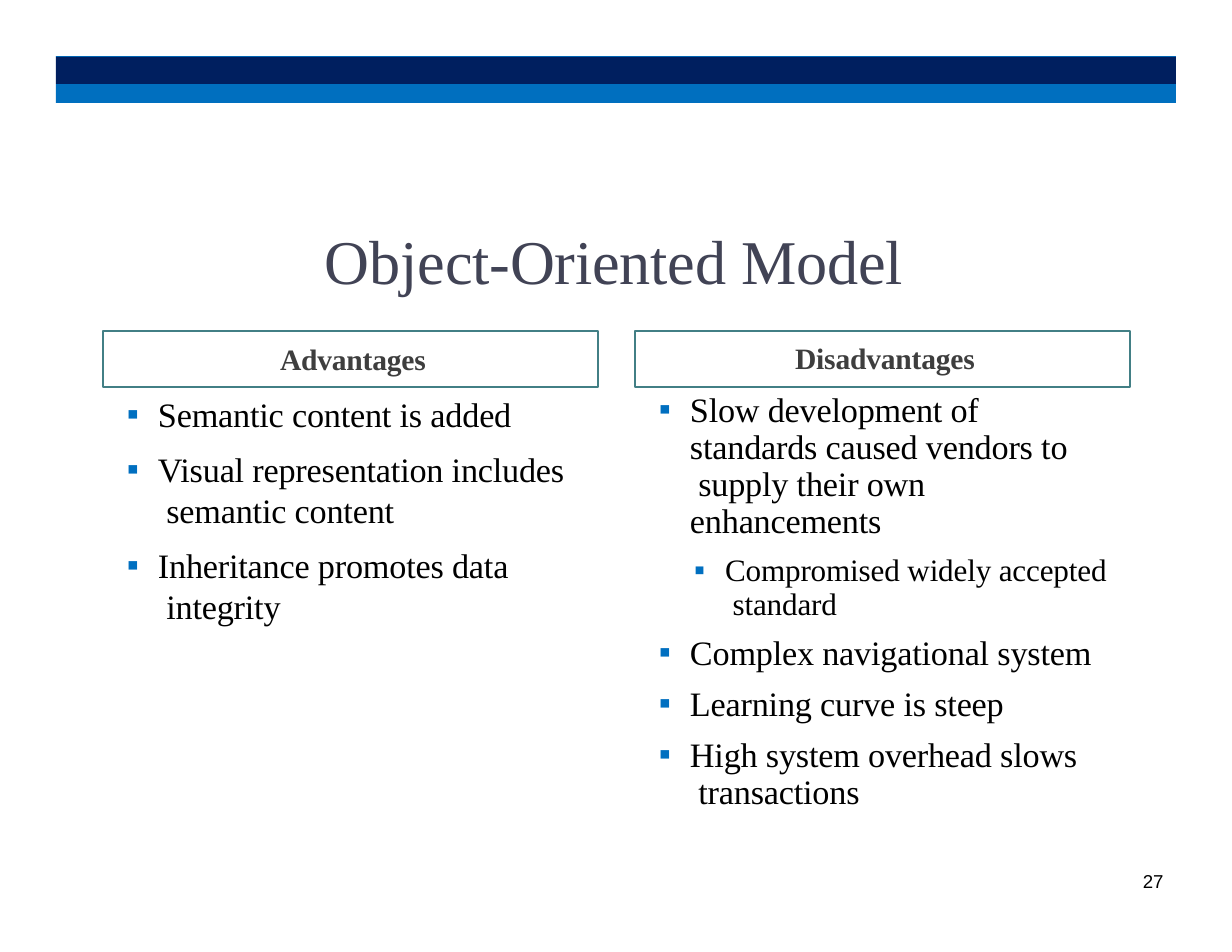
from copy import deepcopy
from dataclasses import dataclass

from lxml.etree import SubElement as Sub
from pptx import Presentation as Deck
from pptx.dml.color import RGBColor as Rgb
from pptx.enum.shapes import MSO_SHAPE as Kind
from pptx.enum.text import MSO_ANCHOR as Anchor, MSO_AUTO_SIZE as Fit, PP_ALIGN as Align
from pptx.oxml.ns import qn
from pptx.util import Emu, Pt


@dataclass(frozen=True)
class Theme:
    navy: str = "001F5F"
    blue: str = "006FBF"
    dot: str = "006FC0"
    teal: str = "427F85"
    slate: str = "414355"
    gray: str = "3E3E3E"
    ink: str = "000000"
    serif: str = "Times New Roman"
    sans: str = "Arial"
    title: int = 40
    head: int = 19
    item: int = 22
    sub: int = 20
    small: int = 12


LOOK = Theme()
SCALE = 914400 / 112
STEP = 532
BARS = [(56, 1, LOOK.blue), (57, 27, LOOK.navy), (84, 19, LOOK.blue)]
PROS = [
    ("Semantic content is added", 10.6, None, 0),
    ("Visual representation includes\v semantic content", 9, None, 0),
    ("Inheritance promotes data\v integrity", 9, None, 0),
]
CONS = [
    ("Slow development of\vstandards caused vendors to\v supply their own\venhancements",
     10.9, 23.8, 0),
    ("Compromised widely accepted\v standard", 8.9, 21.6, 1),
    ("Complex navigational system", 6, None, 0),
    ("Learning curve is steep", 6.3, None, 0),
    ("High system overhead slows\v transactions", 9.3, 23.8, 0),
]


def px(num):
    return Emu(round(num * SCALE))


def apply(obj, vals):
    for key, val in vals.items():
        setattr(obj, key, val)


def place(shape, left, top, width, height):
    apply(shape, {"left": px(left), "top": px(top),
                  "width": px(width), "height": px(height)})


def setup(shape, inset):
    frame = shape.text_frame
    apply(frame, {"margin_left": 0, "margin_right": 0, "margin_bottom": 0,
                  "margin_top": px(inset), "word_wrap": True,
                  "auto_size": Fit.NONE, "vertical_anchor": Anchor.TOP})
    return frame


def write(para, text, face, size, color, bold=False, **form):
    para.text = text
    apply(para, {"space_before": Pt(0), **form})
    for run in para.runs:
        apply(run.font, {"name": face, "size": Pt(size), "bold": bold})
        run.font.color.rgb = Rgb.from_string(color)
        run.font._element.set("spc", "-10")
    for brk in para._p.findall(qn("a:br")):
        brk.append(deepcopy(para.runs[0].font._element))


def mark(para, left, hang):
    props = para._p.get_or_add_pPr()
    props.set("marL", str(px(left)))
    props.set("indent", str(-px(hang)))
    if hang:
        tint = Sub(props, qn("a:buClr"))
        Sub(tint, qn("a:srgbClr"), val=LOOK.dot)
        Sub(props, qn("a:buChar"), char="▪")
    else:
        Sub(props, qn("a:buNone"))


def box(slide, left, top, width, height, fill=None, line=None):
    shape = slide.shapes.add_shape(Kind.RECTANGLE, px(left), px(top), px(width), px(height))
    shape.shadow.inherit = False
    if fill:
        shape.fill.solid()
        shape.fill.fore_color.rgb = Rgb.from_string(fill)
    else:
        shape.fill.background()
    if line:
        shape.line.color.rgb = Rgb.from_string(line)
        shape.line.width = Pt(1)
    else:
        shape.line.fill.background()


def column(shape, left, top, height, inset, head, items):
    place(shape, left, top, 456, height)
    frame = setup(shape, inset)
    para = frame.paragraphs[0]
    mark(para, 0, 0)
    write(para, head, LOOK.serif, LOOK.head, LOOK.gray, True, alignment=Align.CENTER)
    for text, gap, lead, level in items:
        para = frame.add_paragraph()
        mark(para, 68 if level else 33, 31)
        form = {"level": level, "space_before": Pt(gap),
                "line_spacing": Pt(lead) if lead else 1.0}
        size = LOOK.sub if level else LOOK.item
        write(para, text, LOOK.serif, size, LOOK.ink, **form)


def main():
    deck = Deck()
    apply(deck, {"slide_width": px(1232), "slide_height": px(952)})
    slide = deck.slides.add_slide(deck.slide_layouts[3])
    title, left, right = slide.placeholders

    for top, height, color in BARS:
        box(slide, 56, top, 1120, height, fill=color)
    for col in range(2):
        box(slide, 103 + col * STEP, 331, 495, 56, line=LOOK.teal)

    place(title, 321, 221, 586, 77)
    write(setup(title, 1).paragraphs[0], "Object-Oriented Model", LOOK.serif,
          LOOK.title, LOOK.slate, alignment=Align.CENTER)

    column(left, 125, 325, 302, 16, "Advantages", PROS)
    column(right, 125 + STEP, 328, 485, 12, "Disadvantages", CONS)

    page = slide.shapes.add_textbox(px(1143), px(870), px(26), px(21))
    write(setup(page, 0).paragraphs[0], "27", LOOK.sans, LOOK.small, LOOK.ink)

    deck.save("out.pptx")


if __name__ == "__main__":
    main()
